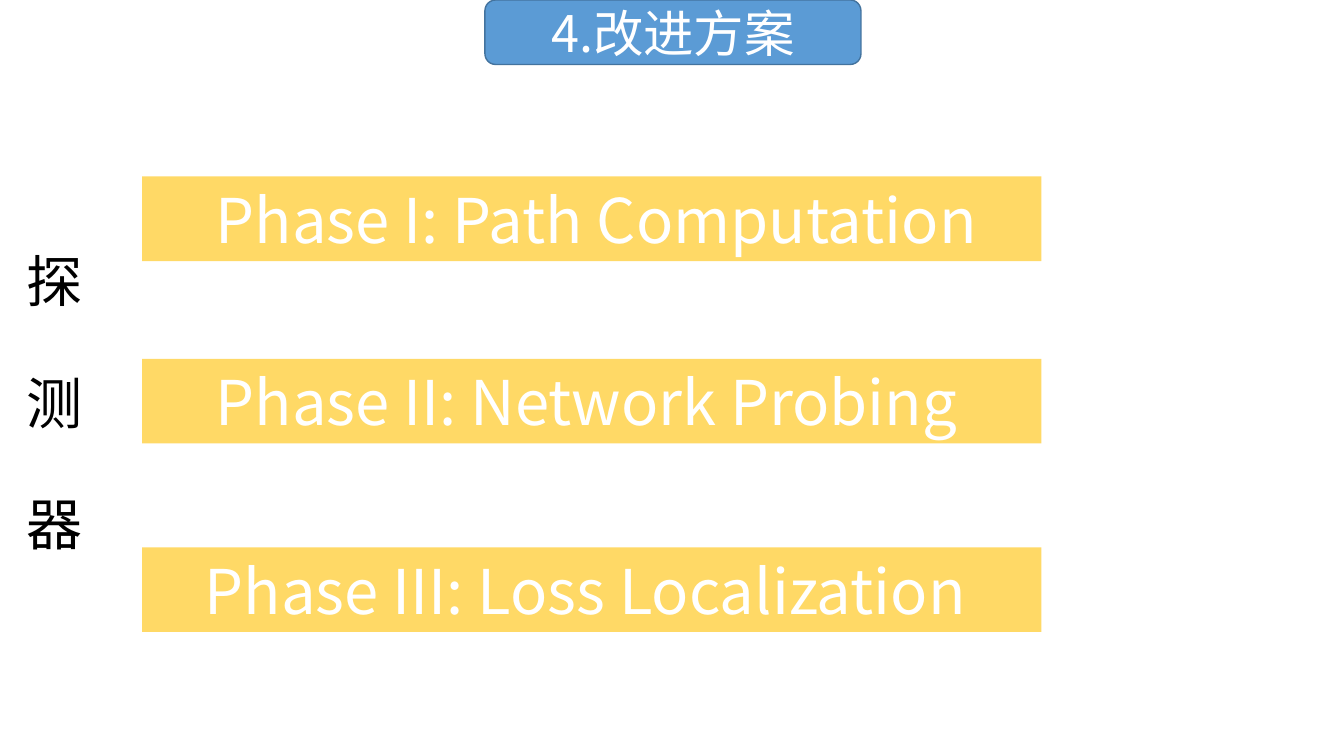
from dataclasses import dataclass

from pptx import Presentation
from pptx import util as u
from pptx.dml import color
from pptx.enum import shapes, text
from pptx.oxml import ns


@dataclass(frozen=True)
class Theme:
    font: str = "Noto Sans CJK SC"
    white: str = "FFFFFF"
    black: str = "000000"
    blue: str = "5B9BD5"
    outline: str = "43739E"
    yellow: str = "FFD966"
    title_size: int = 36
    phase_size: int = 44
    side_size: int = 40
    side_gap: int = 39


class SlideBuilder:
    """Draws styled elements on the current slide."""

    def __init__(self, page, theme):
        self.page = page
        self.theme = theme

    def fill_text(self, box, lines, size, ink, align, indent=0, gap=0):
        frame = box.text_frame
        settings = {
            "word_wrap": True,
            "vertical_anchor": text.MSO_ANCHOR.MIDDLE,
            "margin_left": u.Inches(indent),
            "margin_right": 0,
            "margin_top": 0,
            "margin_bottom": 0,
        }
        for name, value in settings.items():
            setattr(frame, name, value)
        for index, line in enumerate(lines):
            para = frame.add_paragraph() if index else frame.paragraphs[0]
            para.alignment = align
            para.space_before = u.Pt(gap if index else 0)
            span = para.add_run()
            span.text = line
            for name, value in {"name": self.theme.font, "size": u.Pt(size)}.items():
                setattr(span.font, name, value)
            span.font.color.rgb = color.RGBColor.from_string(ink)
            properties = span._r.get_or_add_rPr()
            east_asian = properties.makeelement(ns.qn("a:ea"), {"typeface": self.theme.font})
            properties.find(ns.qn("a:latin")).addnext(east_asian)

    def panel(self, kind, place, fill, outline=None):
        box = self.page.shapes.add_shape(kind, *map(u.Inches, place))
        box.shadow.inherit = False
        box.fill.solid()
        box.fill.fore_color.rgb = color.RGBColor.from_string(fill)
        if outline:
            box.line.color.rgb = color.RGBColor.from_string(outline)
            box.line.width = u.Pt(1)
        else:
            box.line.fill.background()
        return box

    def title(self, words, place):
        theme = self.theme
        box = self.panel(shapes.MSO_SHAPE.ROUNDED_RECTANGLE, place, theme.blue, theme.outline)
        self.fill_text(box, [words], theme.title_size, theme.white, text.PP_ALIGN.CENTER)

    def phase(self, words, top, indent):
        theme = self.theme
        box = self.panel(shapes.MSO_SHAPE.RECTANGLE, (1.41, top, 8.92, 0.84), theme.yellow)
        self.fill_text(box, [words], theme.phase_size, theme.white, text.PP_ALIGN.LEFT, indent)

    def side_label(self, letters, place):
        theme = self.theme
        box = self.page.shapes.add_textbox(*map(u.Inches, place))
        self.fill_text(box, letters, theme.side_size, theme.black, text.PP_ALIGN.LEFT,
                       0.1, theme.side_gap)


PHASES = [
    ("Phase I: Path Computation", 1.75, 0.73),
    ("Phase II: Network Probing", 3.56, 0.73),
    ("Phase III: Loss Localization", 5.43, 0.62),
]

deck = Presentation()
deck.slide_width = u.Inches(13.33)
deck.slide_height = u.Inches(7.5)
builder = SlideBuilder(deck.slides.add_slide(deck.slide_layouts[6]), Theme())

builder.title("4.改进方案", (4.81, 0, 3.73, 0.64))
for words, top, indent in PHASES:
    builder.phase(words, top, indent)
builder.side_label("探测器", (0.16, 2.25, 0.79, 3.47))

deck.save("out.pptx")
